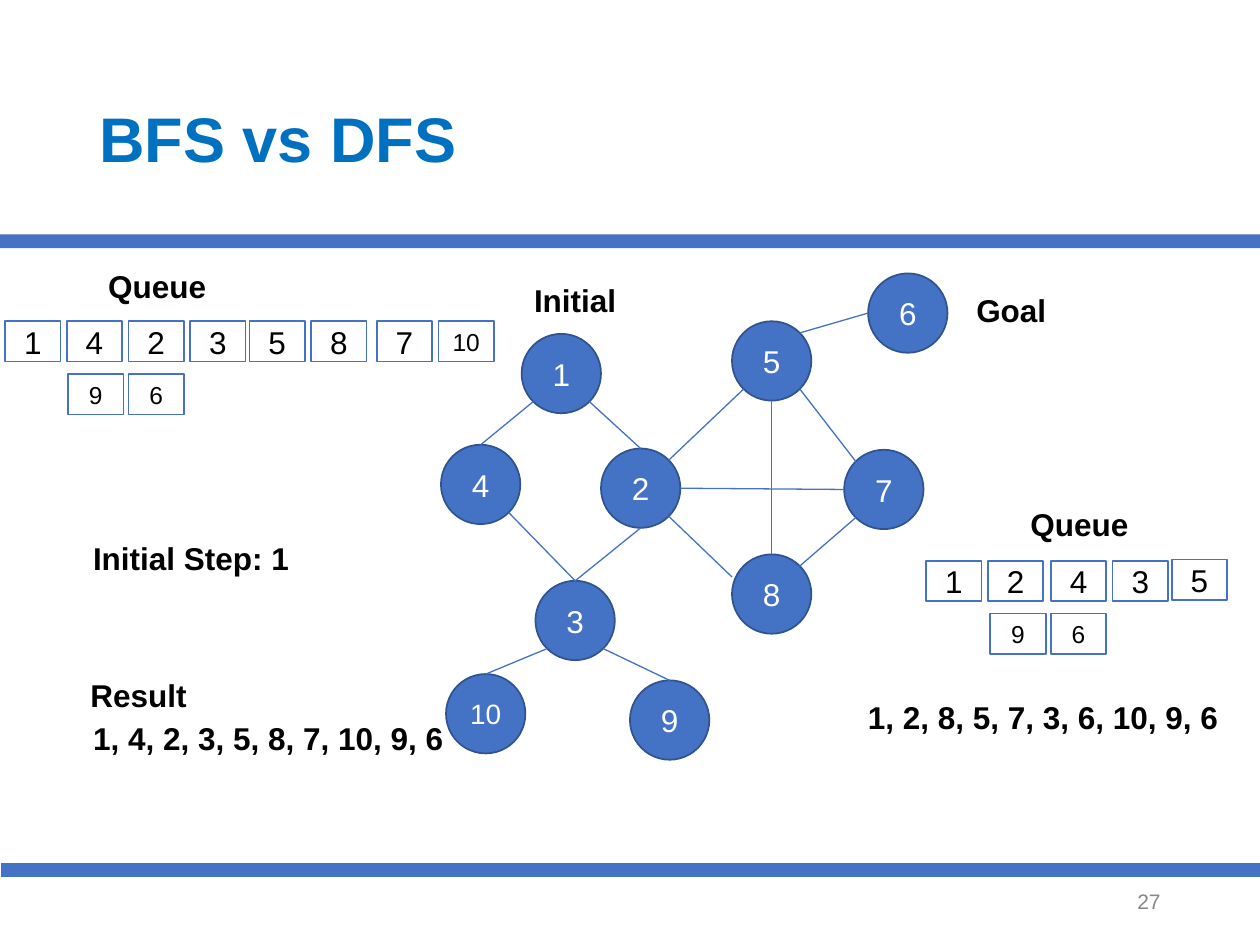
from dataclasses import dataclass

from lxml import etree
from pptx import Presentation
from pptx import util as u
from pptx.dml.color import RGBColor
from pptx.enum import shapes, text
from pptx.oxml.ns import qn


@dataclass(frozen=True)
class Theme:
    font: str = "Arial"
    blue: str = "4472C4"
    node_outline: str = "31538F"
    title_color: str = "0070C0"
    number_color: str = "888888"
    black: str = "000000"
    white: str = "FFFFFF"
    title_size: float = 36
    body_size: float = 18
    wide_node_size: float = 16
    small_size: float = 14
    number_size: float = 12
    outline: float = 1
    edge: float = 0.75


NODE = 0.63
CELL_W, CELL_H = 0.44, 0.32
DIAGONAL = 0.5 ** 0.5
# Points on a node's rim, as offsets from its centre in radii
SITES = {
    "n": (0, -1), "s": (0, 1), "w": (-1, 0), "e": (1, 0),
    "nw": (-DIAGONAL, -DIAGONAL), "ne": (DIAGONAL, -DIAGONAL),
    "sw": (-DIAGONAL, DIAGONAL), "se": (DIAGONAL, DIAGONAL),
    "wnw": (-1, -0.43),
}

NODES = {
    "4": (3.5, 3.53), "1": (4.14, 2.65), "2": (4.77, 3.56), "3": (4.25, 4.61),
    "7": (6.7, 3.57), "5": (5.81, 2.55), "8": (5.81, 4.4), "10": (3.54, 5.35),
    "9": (5, 5.4), "6": (6.89, 2.17),
}
EDGES = [
    ("1", "se", "2", "n"), ("1", "sw", "4", "n"), ("2", "s", "3", "n"),
    ("2", "se", "8", "wnw"), ("4", "se", "3", "n"), ("3", "se", "9", "n"),
    ("3", "sw", "10", "n"), ("5", "ne", "6", "w"), ("5", "se", "7", "nw"),
    ("5", "sw", "2", "ne"), ("7", "sw", "8", "ne"), ("5", "s", "8", "n"),
    ("2", "e", "7", "w"),
]
LABELS = [
    ("Queue", 0.76, 2.07, 0.99),
    ("Result", 0.62, 5.32, 0.97),
    ("1, 4, 2, 3, 5, 8, 7, 10, 9, 6", 0.64, 5.66, 3.08),
    ("Initial Step: 1", 0.64, 4.23, 1.77),
    ("Queue", 8.08, 3.96, 0.99),
    ("1, 2, 8, 5, 7, 3, 6, 10, 9, 6", 6.79, 5.49, 3.08),
    ("Initial", 4.14, 2.18, 0.86),
    ("Goal", 7.65, 2.26, 0.76),
]


class Deck:
    def __init__(self, theme):
        self.theme = theme
        self.prs = Presentation()
        self.prs.slide_width, self.prs.slide_height = u.Inches(10), u.Inches(7.5)
        self.slide = self.prs.slides.add_slide(self.prs.slide_layouts[6])

    def set_text(self, shape, words, size, color, align, bold=False, middle=True):
        frame = shape.text_frame
        frame.word_wrap = False
        frame.vertical_anchor = text.MSO_ANCHOR.MIDDLE if middle else text.MSO_ANCHOR.TOP
        paragraph = frame.paragraphs[0]
        paragraph.text = words
        paragraph.alignment = align
        paragraph.font.name = self.theme.font
        paragraph.font.size = u.Pt(size)
        paragraph.font.bold = bold
        paragraph.font.color.rgb = RGBColor.from_string(color)
        return paragraph

    def block(self, kind, left, top, width, height, fill, line=None):
        shape = self.slide.shapes.add_shape(
            kind, *map(u.Inches, (left, top, width, height)))
        shape.shadow.inherit = False
        shape.fill.solid()
        shape.fill.fore_color.rgb = RGBColor.from_string(fill)
        if line:
            shape.line.color.rgb = RGBColor.from_string(line)
            shape.line.width = u.Pt(self.theme.outline)
        else:
            shape.line.fill.background()
        return shape

    def bar(self, left, top):
        self.block(shapes.MSO_SHAPE.RECTANGLE, left, top, 10, 0.11, self.theme.blue)

    def box(self, left, top, width, height):
        return self.slide.shapes.add_textbox(
            *map(u.Inches, (left, top, width, height)))

    def title(self, words):
        paragraph = self.set_text(
            self.box(0.69, 0.4, 8.62, 1.45), words, self.theme.title_size,
            self.theme.title_color, text.PP_ALIGN.LEFT, bold=True)
        paragraph.line_spacing = 0.9

    def slide_number(self, number):
        self.set_text(self.box(7.06, 6.95, 2.25, 0.4), number, self.theme.number_size,
                      self.theme.number_color, text.PP_ALIGN.RIGHT)

    def label(self, words, left, top, width):
        self.set_text(self.box(left, top, width, 0.4), words, self.theme.body_size,
                      self.theme.black, text.PP_ALIGN.LEFT, bold=True, middle=False)

    def node(self, name, left, top):
        theme = self.theme
        circle = self.block(shapes.MSO_SHAPE.OVAL, left, top, NODE, NODE,
                            theme.blue, theme.node_outline)
        size = theme.wide_node_size if len(name) > 1 else theme.body_size
        self.set_text(circle, name, size, theme.white, text.PP_ALIGN.CENTER)

    def edge(self, start, end):
        line = self.slide.shapes.add_connector(
            shapes.MSO_CONNECTOR.STRAIGHT, *map(u.Inches, (*start, *end)))
        line.line.color.rgb = RGBColor.from_string(self.theme.blue)
        line.line.width = u.Pt(self.theme.edge)
        etree.SubElement(line._element.spPr, qn("a:effectLst"))

    def queue(self, values, lefts, top, size):
        for value, left in zip(values, lefts):
            cell = self.block(shapes.MSO_SHAPE.RECTANGLE, left, top, CELL_W, CELL_H,
                              self.theme.white, self.theme.blue)
            cell_size = self.theme.small_size if len(value) > 1 else size
            self.set_text(cell, value, cell_size, self.theme.black,
                          text.PP_ALIGN.CENTER)


def rim_point(name, site):
    left, top = NODES[name]
    dx, dy = SITES[site]
    return left + NODE / 2 * (1 + dx), top + NODE / 2 * (1 + dy)


def main():
    theme = Theme()
    deck = Deck(theme)
    deck.bar(0.01, 6.85)
    deck.bar(0, 1.86)
    deck.title("BFS vs DFS")
    deck.slide_number("27")

    for name, (left, top) in NODES.items():
        deck.node(name, left, top)
    for start, start_site, end, end_site in EDGES:
        deck.edge(rim_point(start, start_site), rim_point(end, end_site))

    bfs_lefts = [0.04, 0.53, 1.02, 1.51, 1.98, 2.47, 2.99, 3.48]
    deck.queue(["1", "4", "2", "3", "5", "8", "7", "10"], bfs_lefts, 2.55,
               theme.body_size)
    deck.queue(["9", "6"], [0.54, 1.02], 2.97, theme.small_size)
    deck.queue(["1", "2", "4", "3"], [7.35, 7.84, 8.34, 8.83], 4.45, theme.body_size)
    deck.queue(["5"], [9.3], 4.44, theme.body_size)
    deck.queue(["9", "6"], [7.86, 8.34], 4.87, theme.small_size)

    for label in LABELS:
        deck.label(*label)
    deck.prs.save("out.pptx")


if __name__ == "__main__":
    main()
